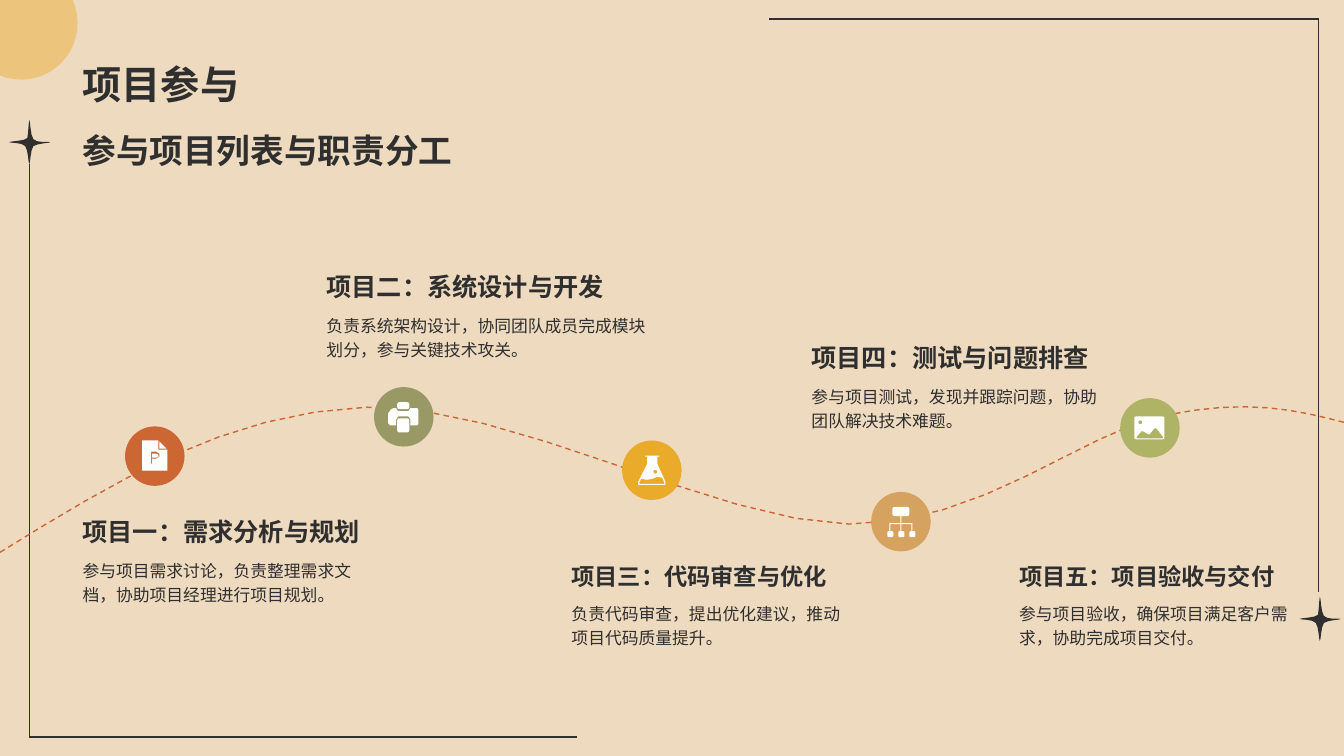
"""Build the project participation slide: five projects along a dashed wave."""
import math

import lxml.etree
import pptx
import pptx.dml.color
import pptx.enum.dml
import pptx.enum.shapes
import pptx.enum.text
import pptx.oxml.ns
import pptx.util

PX = 9144
FONT = "Arial"
INK = "2F2F2F"
SAND = "EEDABF"
RUST = "CC6633"
GOLD = "EBAB2A"
WHITE = "FFFFFF"
BADGE = 59
HEADING_HEIGHT = 59

STAR = [(41, 22), (41, 21), (28, 22), (25, 18), (22, 14), (22, 1), (21, 0),
        (20, 0), (20, 14), (17, 18), (13, 21), (0, 21), (0, 22),
        (6, 23), (13, 21), (17, 25), (20, 29), (20, 44), (21, 44),
        (22, 38), (22, 30), (23, 26), (25, 23), (41, 23), (41, 22)]
WAVE = [(0, 548), (112, 479), (224, 409), (364, 404), (505, 400), (710, 518),
        (842, 520), (974, 521), (1074, 428), (1156, 412), (1238, 395),
        (1286, 407), (1333, 419)]
FRAME = [(29, 731, 29, 163), (29, 731, 572, 731),
         (1308, 19, 1308, 587), (1308, 19, 763, 19)]


def color(hex_text):
    """Turn a hex string into a colour."""
    return pptx.dml.color.RGBColor.from_string(hex_text)


def px(length):
    """Turn px into EMU."""
    return pptx.util.Emu(round(length * PX))


def arc(x, y, radius, start, end, steps):
    """List points on a circle between two angles in degrees."""
    angles = [math.radians(start + (end - start) * i / steps) for i in range(steps + 1)]
    return [(x + radius * math.cos(a), y + radius * math.sin(a)) for a in angles]


def rounded(left, top, width, height, radius=0):
    """List the outline of a rectangle, its corners round if a radius is given."""
    right, bottom = left + width - radius, top + height - radius
    left, top = left + radius, top + radius
    corners = [(left, top), (right, top), (right, bottom), (left, bottom)]
    if not radius:
        return corners
    return [point for i, (x, y) in enumerate(corners)
            for point in arc(x, y, radius, 180 + 90 * i, 270 + 90 * i, radius)]


def curve(controls, steps):
    """List points along a chain of cubic curves."""
    points = [controls[0]]
    for first in range(0, len(controls) - 1, 3):
        p, q, r, s = controls[first:first + 4]
        for step in range(1, steps + 1):
            t = step / steps
            u = 1 - t
            points.append(tuple(u**3 * a + 3 * u * u * t * b + 3 * u * t * t * c + t**3 * d
                                for a, b, c, d in zip(p, q, r, s)))
    return points


def add_outline(slide, contours, fill=None):
    """Draw contours as one shape, closed when filled."""
    scaled = [[(px(x), px(y)) for x, y in contour] for contour in contours]
    builder = slide.shapes.build_freeform(*scaled[0][0], scale=1.0)
    for number, contour in enumerate(scaled):
        if number:
            builder.move_to(*contour[0])
        builder.add_line_segments(contour[1:], close=fill is not None)
    shape = builder.convert_to_shape()
    shape.shadow.inherit = False
    if fill:
        shape.fill.solid()
        shape.fill.fore_color.rgb = color(fill)
        shape.line.fill.background()
    else:
        shape.fill.background()
    return shape


def add_frame_line(slide, x1, y1, x2, y2):
    """Draw one line of the frame."""
    line = slide.shapes.add_connector(
        pptx.enum.shapes.MSO_CONNECTOR.STRAIGHT, px(x1), px(y1), px(x2), px(y2))
    line.line.color.rgb = color(INK)
    line.line.width = pptx.util.Pt(1)
    lxml.etree.SubElement(line._element.spPr, pptx.oxml.ns.qn("a:effectLst"))


def add_star(slide, left, top):
    """Draw a four-pointed star."""
    outline = [(left + x, top + y) for x, y in curve(STAR, 4)]
    add_outline(slide, [outline], INK).rotation = 180


def add_sun(slide):
    """Draw the translucent disc in the corner."""
    sun = add_outline(slide, [[(0, 0)] + arc(21, 23, 56, -24, 112, 18)], GOLD)
    tint = sun._element.spPr.find(".//" + pptx.oxml.ns.qn("a:srgbClr"))
    lxml.etree.SubElement(tint, pptx.oxml.ns.qn("a:alpha"), val="45000")


def add_wave(slide):
    """Draw the dashed wave."""
    wave = add_outline(slide, [curve(WAVE, 8)])
    wave.line.color.rgb = color(RUST)
    wave.line.width = pptx.util.Pt(1)
    wave.line.dash_style = pptx.enum.dml.MSO_LINE.DASH


def write(box, text, size, bold=False, bottom=False, spacing=None):
    """Put one formatted run into a box."""
    frame = box.text_frame
    frame.word_wrap = True
    frame.auto_size = pptx.enum.text.MSO_AUTO_SIZE.NONE
    anchor = pptx.enum.text.MSO_ANCHOR
    frame.vertical_anchor = anchor.BOTTOM if bottom else anchor.TOP
    para = frame.paragraphs[0]
    para.alignment = pptx.enum.text.PP_ALIGN.LEFT
    if spacing:
        para.line_spacing = spacing
    span = para.add_run()
    span.text = text
    span.font.name = FONT
    span.font.size = pptx.util.Pt(size)
    span.font.bold = bold
    span.font.color.rgb = color(INK)


def add_text(slide, left, top, width, height, *content, **style):
    """Add a text box."""
    box = slide.shapes.add_textbox(px(left), px(top), px(width), px(height))
    write(box, *content, **style)


def add_badge(slide, left, top, fill, icon):
    """Draw a round badge with its white icon."""
    badge = slide.shapes.add_shape(pptx.enum.shapes.MSO_SHAPE.ROUNDED_RECTANGLE,
                                   px(left), px(top), px(BADGE), px(BADGE))
    badge.adjustments[0] = 0.5
    badge.shadow.inherit = False
    badge.fill.solid()
    badge.fill.fore_color.rgb = color(fill)
    badge.line.fill.background()
    add_outline(slide, icon, WHITE)


def add_project(slide, badge, place, heading, size, body):
    """Add a project's badge, description and heading."""
    left, top, width, height = place
    add_badge(slide, *badge)
    add_text(slide, left, top + HEADING_HEIGHT, width, height, body, 12, spacing=1.2)
    add_text(slide, left, top, width, HEADING_HEIGHT, heading, size, bold=True, bottom=True)


DOCUMENT = [
    [(141, 437), (157, 437), (157, 446), (166, 446), (166, 467), (141, 467)],
    [(158, 438), (165, 445), (158, 445)],
    [(150, 448), (155, 448), (158, 450), (158, 453), (155, 455), (151, 455),
     (151, 460), (150, 460)],
    [(151, 450), (155, 450), (157, 451), (157, 453), (155, 454), (151, 454)]]
PRINTER = [
    [(393, 405), (395, 408), (405, 408), (407, 405), (414, 405), (415, 407), (415, 420),
     (414, 422), (407, 422), (407, 416), (405, 413), (395, 413), (393, 416), (393, 422),
     (387, 422), (385, 420), (385, 410), (388, 406), (390, 405)],
    rounded(394, 399, 12, 7, 2), rounded(394, 415, 12, 14, 2)]
FLASK = [
    [(640, 452), (654, 452), (654, 453), (652, 453), (652, 460), (660, 478), (660, 481),
     (633, 481), (633, 478), (642, 460), (642, 453), (640, 453)],
    [(647, 475), (642, 476), (636, 475), (634, 479), (635, 480), (659, 480), (659, 479),
     (657, 474), (652, 473)],
    rounded(648, 466, 4, 4, 2)]
TREE = [rounded(885, 503, 17, 9, 2), rounded(893, 512, 1, 7), rounded(882, 519, 23, 1)]
for branch in (882, 893, 904):
    TREE += [rounded(branch, 520, 1, 7), rounded(branch - 2, 527, 6, 6, 1)]
LANDSCAPE = [
    rounded(1125, 413, 30, 23, 2), rounded(1129, 417, 4, 4, 2),
    [(1147, 425), (1154, 434), (1153, 435), (1128, 435), (1127, 434), (1132, 428),
     (1134, 428), (1139, 431), (1140, 431), (1145, 425)]]

PROJECTS = [
    ((124, 423, RUST, DOCUMENT), (72, 488, 298, 101), "项目一：需求分析与规划", 18,
     "参与项目需求讨论，负责整理需求文档，协助项目经理进行项目规划。"),
    ((371, 384, "999966", PRINTER), (314, 245, 347, 68), "项目二：系统设计与开发", 18,
     "负责系统架构设计，协同团队成员完成模块划分，参与关键技术攻关。"),
    ((617, 437, GOLD, FLASK), (557, 531, 293, 81), "项目三：代码审查与优化", 16.6,
     "负责代码审查，提出优化建议，推动项目代码质量提升。"),
    ((864, 488, "D5A260", TREE), (795, 316, 309, 68), "项目四：测试与问题排查", 18,
     "参与项目测试，发现并跟踪问题，协助团队解决技术难题。"),
    ((1111, 395, "AFB366", LANDSCAPE), (1001, 531, 293, 81), "项目五：项目验收与交付", 16.6,
     "参与项目验收，确保项目满足客户需求，协助完成项目交付。")]


def main():
    """Build and save the deck."""
    deck = pptx.Presentation()
    deck.slide_width, deck.slide_height = px(1333), px(750)
    slide = deck.slides.add_slide(deck.slide_layouts[5])
    slide.background.fill.solid()
    slide.background.fill.fore_color.rgb = color(SAND)
    title = slide.shapes.title
    title.left, title.top, title.width, title.height = px(72), px(14), px(1188), px(98)
    write(title, "项目参与", 28, bold=True, bottom=True)
    for ends in FRAME:
        add_frame_line(slide, *ends)
    add_star(slide, 1289, 592)
    add_star(slide, 9, 119)
    add_sun(slide)
    add_text(slide, 72, 124, 868, 115, "参与项目列表与职责分工", 24, bold=True)
    add_wave(slide)
    for project in PROJECTS:
        add_project(slide, *project)
    deck.save("out.pptx")


if __name__ == "__main__":
    main()
